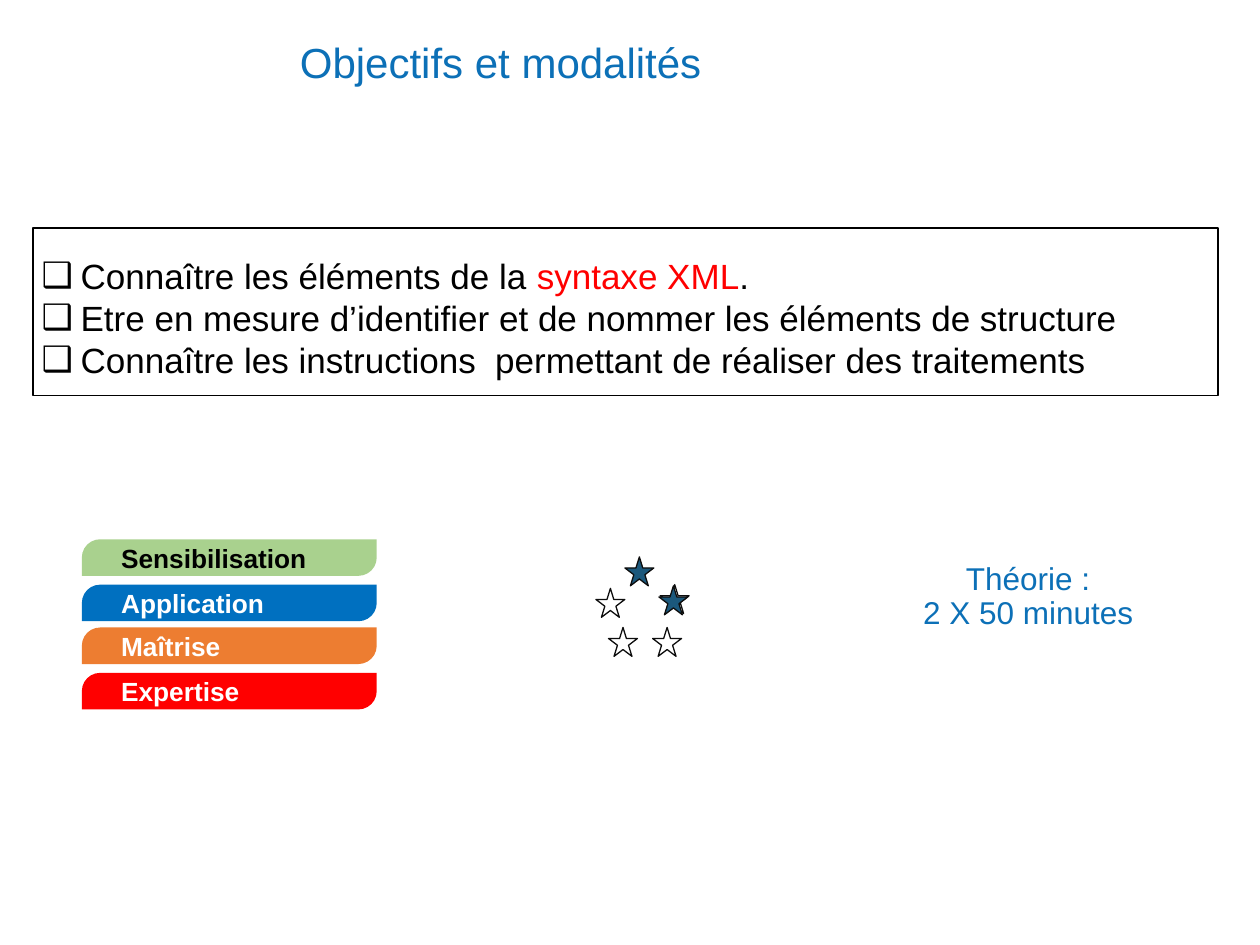
from dataclasses import dataclass

from lxml import etree
from pptx import Presentation
from pptx.dml.color import RGBColor
from pptx.enum.shapes import MSO_SHAPE
from pptx.enum.text import MSO_ANCHOR, MSO_AUTO_SIZE, PP_ALIGN
from pptx.oxml.ns import qn
from pptx.util import Inches, Pt

STAR = MSO_SHAPE.STAR_5_POINT
BANNER = MSO_SHAPE.ROUND_2_DIAG_RECTANGLE
LEFT, CENTER = PP_ALIGN.LEFT, PP_ALIGN.CENTER
TOP, MIDDLE = MSO_ANCHOR.TOP, MSO_ANCHOR.MIDDLE


@dataclass(frozen=True)
class Theme:
    font: str = "Arial"
    title_size: int = 24
    list_size: int = 20
    duration_size: int = 18
    level_size: int = 15
    blue: str = "0C70B7"
    black: str = "000000"
    white: str = "FFFFFF"
    red: str = "FF0000"
    star: str = "1B587C"
    star_line: str = "0D0D0D"


THEME = Theme()

# Content
TITLE = "Objectifs et modalités"
OBJECTIVES = [
    [("Connaître les éléments de la ", THEME.black), ("syntaxe XML", THEME.red), (".", THEME.black)],
    [("Etre en mesure d’identifier et de nommer les éléments de structure", THEME.black)],
    [("Connaître les instructions  permettant de réaliser des traitements", THEME.black)],
]
DURATION = ["Théorie :", "2 X 50 minutes"]
LEVELS = [  # label, top, fill, text colour
    ("Sensibilisation", 4.28, "A9D18E", THEME.black),
    ("Application", 4.64, "0070C0", THEME.white),
    ("Maîtrise", 4.98, "ED7D31", THEME.white),
    ("Expertise", 5.34, THEME.red, THEME.white),
]
STARS = [  # left, top, fill
    (4.96, 4.42, THEME.star),
    (5.24, 4.64, THEME.white),
    (4.83, 4.98, THEME.white),
    (5.18, 4.98, THEME.white),
    (4.73, 4.67, THEME.white),
    (5.23, 4.65, THEME.star),
]


def color(value):
    return RGBColor.from_string(value)


def place(shape, left, top, width, height):
    shape.left, shape.top = Inches(left), Inches(top)
    shape.width, shape.height = Inches(width), Inches(height)


def paint(shape, fill, line=None, weight=1):
    shape.fill.solid()
    shape.fill.fore_color.rgb = color(fill)
    if line:
        shape.line.color.rgb = color(line)
        shape.line.width = Pt(weight)
    else:
        shape.line.fill.background()


def set_frame(frame, anchor, margins, wrap=True):
    frame.auto_size = MSO_AUTO_SIZE.NONE
    frame.word_wrap = wrap
    frame.vertical_anchor = anchor
    frame.margin_left, frame.margin_top, frame.margin_right, frame.margin_bottom = map(Inches, margins)


def style(para, size, value=None, align=LEFT, spacing=1.0, bold=False):
    para.alignment = align
    para.line_spacing = spacing
    para.space_before = para.space_after = Pt(0)
    para.font.name, para.font.size, para.font.bold = THEME.font, Pt(size), bold
    if value:
        para.font.color.rgb = color(value)


def add_bullet(para, mark, indent):
    properties = para._p.get_or_add_pPr()
    properties.set("marL", str(Inches(indent)))
    properties.set("indent", str(-Inches(indent)))
    etree.SubElement(properties, qn("a:buFont")).set("typeface", THEME.font)
    etree.SubElement(properties, qn("a:buChar")).set("char", mark)


def paragraphs(frame, count):
    return [frame.paragraphs[0]] + [frame.add_paragraph() for _ in range(count - 1)]


def add_objectives(body):
    place(body, 0.26, 1.81, 9.41, 1.33)
    paint(body, THEME.white, THEME.black)
    set_frame(body.text_frame, TOP, (0.07, 0.21, 0, 0.3))
    for para, parts in zip(paragraphs(body.text_frame, len(OBJECTIVES)), OBJECTIVES):
        add_bullet(para, "❑", 0.31)
        style(para, THEME.list_size)
        for text, value in parts:
            span = para.add_run()
            span.text = text
            span.font.color.rgb = color(value)


def add_shape(slide, kind, left, top, width, height):
    shape = slide.shapes.add_shape(kind, Inches(left), Inches(top), Inches(width), Inches(height))
    shape.shadow.inherit = False
    return shape


def main():
    deck = Presentation()
    deck.slide_width, deck.slide_height = Inches(10), Inches(7.5)
    slide = deck.slides.add_slide(deck.slide_layouts[1])

    # Title
    title = slide.shapes.title
    place(title, 2.28, 0.16, 7.72, 0.71)
    set_frame(title.text_frame, MIDDLE, (0.1, 0.05, 0.1, 0.05))
    title.text_frame.text = TITLE
    style(title.text_frame.paragraphs[0], THEME.title_size, THEME.blue, spacing=0.9)

    # Framed list of objectives
    add_objectives(slide.placeholders[1])

    # Course length
    box = slide.shapes.add_textbox(Inches(7.18), Inches(4.42), Inches(1.96), Inches(0.65))
    set_frame(box.text_frame, TOP, (0.1, 0.05, 0.1, 0.05), wrap=False)
    for para, text in zip(paragraphs(box.text_frame, len(DURATION)), DURATION):
        para.text = text
        style(para, THEME.duration_size, THEME.blue, CENTER, 0.9)

    # Skill levels
    for label, top, fill, value in LEVELS:
        banner = add_shape(slide, BANNER, 0.65, top, 2.34, 0.29)
        banner.adjustments[0], banner.adjustments[1] = 0.5, 0
        paint(banner, fill)
        set_frame(banner.text_frame, MIDDLE, (0.27, 0, 0, 0))
        banner.text_frame.text = label
        style(banner.text_frame.paragraphs[0], THEME.level_size, value, bold=True)

    # Star rating
    for left, top, fill in STARS:
        star = add_shape(slide, STAR, left, top, 0.23, 0.23)
        paint(star, fill, THEME.star_line, 0.75)

    deck.save("out.pptx")


if __name__ == "__main__":
    main()
